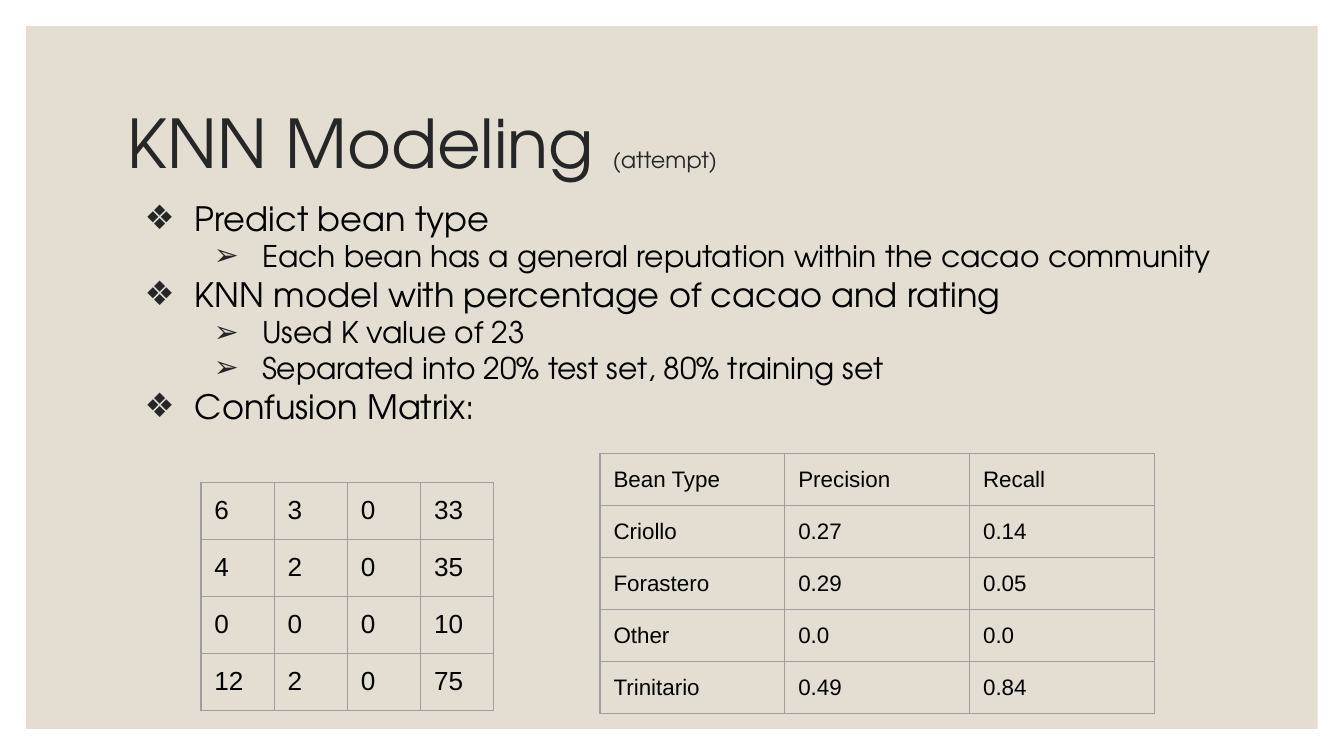
"""Build the KNN modeling slide with its bullets, confusion matrix and score table."""
from dataclasses import dataclass

import lxml.etree
import pptx
import pptx.dml.color
import pptx.enum.shapes
import pptx.enum.text
import pptx.oxml.ns
import pptx.util

PX = pptx.util.Inches(1) // 200


@dataclass(frozen=True)
class Theme:
    panel: str = "E3DED1"
    heading: str = "262626"
    text: str = "000000"
    border: str = "9E9E9E"
    display_font: str = "TeX Gyre Adventor"
    table_font: str = "Arial"
    bullet_font: str = "Arial"
    title_size: int = 36
    note_size: int = 12
    level_sizes: tuple[int, ...] = (18, 16)
    matrix_size: int = 14
    score_size: int = 12
    border_width: float = 0.75


@dataclass(frozen=True)
class Box:
    left: int
    top: int
    width: int
    height: int

    def emu(self) -> tuple[int, ...]:
        return tuple(n * PX for n in (self.left, self.top, self.width, self.height))


@dataclass(frozen=True)
class Bullet:
    text: str
    level: int = 0


@dataclass(frozen=True)
class BulletStyle:
    symbol: str
    margin: int
    indent: int


@dataclass(frozen=True)
class Grid:
    left: int
    top: int
    column: int
    row: int
    size: int
    rows: tuple[tuple[str, ...], ...]


THEME = Theme()
BULLET_STYLES = (BulletStyle("❖", 100, -75), BulletStyle("➢", 200, -72))
BULLETS = (
    Bullet("Predict bean type"),
    Bullet("Each bean has a general reputation within the cacao community", 1),
    Bullet("KNN model with percentage of cacao and rating"),
    Bullet("Used K value of 23", 1),
    Bullet("Separated into 20% test set, 80% training set", 1),
    Bullet("Confusion Matrix:"),
)
CONFUSION_MATRIX = Grid(299, 718, 109, 85, THEME.matrix_size, (
    ("6", "3", "0", "33"),
    ("4", "2", "0", "35"),
    ("0", "0", "0", "10"),
    ("12", "2", "0", "75"),
))
SCORES = Grid(893, 675, 275, 74, THEME.score_size, (
    ("Bean Type", "Precision", "Recall"),
    ("Criollo", "0.27", "0.14"),
    ("Forastero", "0.29", "0.05"),
    ("Other", "0.0", "0.0"),
    ("Trinitario", "0.49", "0.84"),
))


def rgb(color: str) -> pptx.dml.color.RGBColor:
    """Turn a hex string into a colour."""
    return pptx.dml.color.RGBColor.from_string(color)


def write(paragraph, text: str, *, size: int, font: str = THEME.display_font,
          color: str = THEME.text) -> None:
    """Add a formatted run to a paragraph."""
    run = paragraph.add_run()
    run.text = text
    run.font.name = font
    run.font.size = pptx.util.Pt(size)
    run.font.color.rgb = rgb(color)


def add_xml(parent, tag: str, **attributes: str):
    """Append a DrawingML element and return it."""
    return lxml.etree.SubElement(parent, pptx.oxml.ns.qn(tag), attributes)


def add_color(parent, color: str) -> None:
    """Append a solid colour value to an element."""
    add_xml(parent, "a:srgbClr", val=color)


def set_frame(frame, anchor) -> None:
    """Give a text frame its insets, wrapping and anchor."""
    frame.margin_left = frame.margin_right = 15 * PX
    frame.margin_top = frame.margin_bottom = 15 * PX
    frame.word_wrap = True
    frame.auto_size = pptx.enum.text.MSO_AUTO_SIZE.NONE
    frame.vertical_anchor = anchor


def draw_title(slide, box: Box) -> None:
    """Place and fill the title placeholder."""
    title = slide.shapes.title
    title.left, title.top, title.width, title.height = box.emu()
    set_frame(title.text_frame, pptx.enum.text.MSO_ANCHOR.MIDDLE)
    heading = title.text_frame.paragraphs[0]
    heading.alignment = pptx.enum.text.PP_ALIGN.LEFT
    heading.line_spacing = 0.9
    write(heading, "KNN Modeling ", size=THEME.title_size, color=THEME.heading)
    write(heading, "(attempt)", size=THEME.note_size, color=THEME.heading)


def draw_panel(slide, box: Box) -> None:
    """Draw the beige panel behind the title."""
    panel = slide.shapes.add_shape(pptx.enum.shapes.MSO_SHAPE.RECTANGLE, *box.emu())
    panel.shadow.inherit = False
    panel.fill.solid()
    panel.fill.fore_color.rgb = rgb(THEME.panel)
    panel.line.fill.background()
    slide.shapes.title.element.addprevious(panel.element)


def draw_bullets(slide, box: Box, bullets: tuple[Bullet, ...]) -> None:
    """Draw the two-level bullet list."""
    frame = slide.shapes.add_textbox(*box.emu()).text_frame
    set_frame(frame, pptx.enum.text.MSO_ANCHOR.TOP)
    for index, bullet in enumerate(bullets):
        paragraph = frame.add_paragraph() if index else frame.paragraphs[0]
        paragraph.level = bullet.level
        paragraph.space_before = pptx.util.Pt(0 if index else 7)
        write(paragraph, bullet.text, size=THEME.level_sizes[bullet.level])
        style = BULLET_STYLES[bullet.level]
        properties = paragraph._p.get_or_add_pPr()
        properties.set("marL", str(style.margin * PX))
        properties.set("indent", str(style.indent * PX))
        add_color(add_xml(properties, "a:buClr"), THEME.heading)
        add_xml(properties, "a:buFont", typeface=THEME.bullet_font)
        add_xml(properties, "a:buChar", char=style.symbol)


def format_cell(cell, text: str, size: int) -> None:
    """Fill one table cell and draw its borders."""
    cell.margin_left = cell.margin_right = 20 * PX
    cell.margin_top = cell.margin_bottom = 20 * PX
    write(cell.text_frame.paragraphs[0], text, size=size, font=THEME.table_font)
    properties = cell._tc.get_or_add_tcPr()
    width = str(pptx.util.Pt(THEME.border_width))
    for side in "LRTB":
        border = add_xml(properties, f"a:ln{side}", w=width)
        add_color(add_xml(border, "a:solidFill"), THEME.border)
    cell.fill.background()


def draw_grid(slide, grid: Grid) -> None:
    """Draw a plain bordered table with equal cells."""
    row_count, column_count = len(grid.rows), len(grid.rows[0])
    box = Box(grid.left, grid.top, column_count * grid.column, row_count * grid.row)
    table = slide.shapes.add_table(row_count, column_count, *box.emu()).table
    table.first_row = table.horz_banding = False
    for row_index, row in enumerate(grid.rows):
        for column_index, text in enumerate(row):
            format_cell(table.cell(row_index, column_index), text, grid.size)


def main() -> None:
    """Build and save the slide."""
    deck = pptx.Presentation()
    deck.slide_width, deck.slide_height = 2000 * PX, 1125 * PX
    slide = deck.slides.add_slide(deck.slide_layouts.get_by_name("Title Only"))
    draw_title(slide, Box(175, 106, 1650, 225))
    draw_panel(slide, Box(39, 39, 1922, 1046))
    draw_bullets(slide, Box(175, 279, 1650, 646), BULLETS)
    for grid in (CONFUSION_MATRIX, SCORES):
        draw_grid(slide, grid)
    deck.save("out.pptx")


if __name__ == "__main__":
    main()
